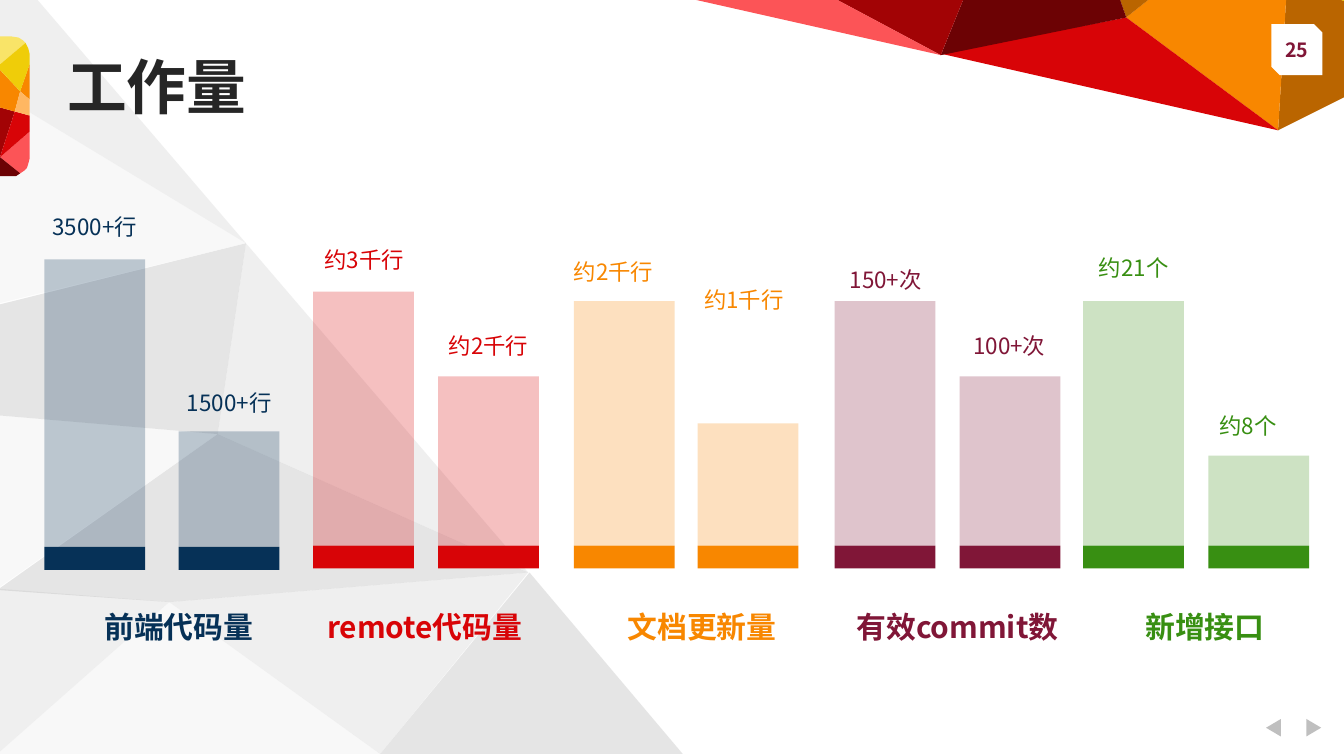
from lxml import etree
from pptx import Presentation
from pptx.dml.color import RGBColor
from pptx.enum import shapes, text
from pptx.oxml import ns
from pptx.util import Cm, Pt

FONT = "Noto Sans CJK SC"
NAVY, RED = RGBColor(0x06, 0x31, 0x57), RGBColor(0xD8, 0x04, 0x07)
ORANGE, PLUM = RGBColor(0xF8, 0x87, 0x00), RGBColor(0x80, 0x16, 0x37)
GREEN, INK = RGBColor(0x38, 0x8F, 0x12), RGBColor(0x26, 0x26, 0x26)
WHITE, SILVER = RGBColor(0xFF, 0xFF, 0xFF), RGBColor(0xBF, 0xBF, 0xBF)
PALE, MIST = RGBColor(0xF2, 0xF2, 0xF2), RGBColor(0xD9, 0xD9, 0xD9)
BROWN, MAROON = RGBColor(0xBA, 0x65, 0x00), RGBColor(0x6C, 0x02, 0x04)
CRIMSON, CORAL = RGBColor(0xA2, 0x03, 0x05), RGBColor(0xFC, 0x54, 0x57)
YELLOW, LEMON = RGBColor(0xEF, 0xCD, 0x09), RGBColor(0xF9, 0xE4, 0x68)
PEACH = RGBColor(0xFF, 0xB7, 0x62)

# All places and sizes below are in inches
TITLE = "工作量"
PAGE_NUMBER = "25"
BAR_WIDTH, BASE_HEIGHT = 0.75, 0.17
CAPTION_TOP, CAPTION_HEIGHT, VALUE_HEIGHT = 4.48, 0.37, 0.3

# colour, top of the solid base, (caption, left, width),
# bars: (left, top, value, value left, value top, value width)
GROUPS = [
    (NAVY, 4.07, ("前端代码量", 0.57, 1.52),
     [(0.33, 1.93, "3500+行", 0.15, 1.54, 1.11),
      (1.33, 3.21, "1500+行", 1.15, 2.85, 1.11)]),
    (RED, 4.06, ("remote代码量", 2.3, 1.72),
     [(2.33, 2.17, "约3千行", 2.03, 1.78, 1.36),
      (3.26, 2.8, "约2千行", 3.17, 2.42, 0.93)]),
    (ORANGE, 4.06, ("文档更新量", 4.51, 1.43),
     [(4.27, 2.24, "约2千行", 4.01, 1.87, 1.11),
      (5.19, 3.15, "约1千行", 4.98, 2.08, 1.11)]),
    (PLUM, 4.06, ("有效commit数", 6.23, 1.79),
     [(6.21, 2.24, "150+次", 6.09, 1.93, 1),
      (7.14, 2.8, "100+次", 7.01, 2.42, 1)]),
    (GREEN, 4.06, ("新增接口", 8.41, 1.11),
     [(8.06, 2.24, "约21个", 7.88, 1.84, 1.11),
      (8.99, 3.39, "约8个", 8.73, 3.02, 1.11)]),
]

# Facets: colour, opacity in percent, corners
BACKDROP = [
    (PALE, 50, [(1.26, 4.48), (2.83, 5.61), (-0.02, 5.61)]),
    (MIST, 40, [(1.26, 4.48), (-0.02, 5.61), (-0.02, 4.38)]),
    (MIST, 40, [(2.83, 5.61), (1.26, 4.48), (3.93, 4.26)]),
    (SILVER, 40, [(3.93, 4.26), (1.26, 4.48), (-0.02, 4.39), (1.62, 3.23)]),
    (MIST, 40, [(3.93, 4.26), (1.62, 3.23), (1.83, 1.81)]),
    (PALE, 50, [(1.62, 3.23), (-0.02, 4.38), (-0.02, 3.09)]),
    (SILVER, 40, [(1.62, 3.23), (-0.02, 3.09), (-0.02, 2.27), (1.83, 1.81)]),
    (PALE, 50, [(1.83, 1.81), (-0.02, 2.26), (-0.02, 0.69)]),
    (MIST, 40, [(1.83, 1.81), (-0.02, 0.69), (-0.02, -0.35)]),
    (SILVER, 40, [(2.83, 5.61), (3.94, 4.26), (5.08, 5.61)]),
]
CORNER = [
    (YELLOW, 100, [(9.58, -0.17), (10.77, 0.34), (10.62, -0.85)]),
    (BROWN, 100, [(10.77, 0.34), (9.58, -0.17), (9.51, 0.97)]),
    (ORANGE, 100, [(9.51, 0.97), (9.58, -0.17), (9.42, -0.7), (8.38, 0.13)]),
    (RED, 100, [(9.51, 0.97), (8.38, 0.13), (7, 0.4)]),
    (BROWN, 100, [(8.38, 0.13), (9.42, -0.7), (8.15, -0.53)]),
    (MAROON, 100, [(8.38, 0.13), (8.15, -0.53), (7.34, -0.43), (7, 0.41)]),
    (CRIMSON, 100, [(7, 0.41), (7.34, -0.43), (5.8, -0.23)]),
    (CORAL, 100, [(7, 0.41), (5.8, -0.23), (4.78, -0.09)]),
]
SIDE_TAB = [
    (CORAL, 100, [(0.22, 0.98), (0, 1.17), (0.15, 1.29), (0.18, 1.27),
                  (0.2, 1.25), (0.21, 1.22), (0.22, 1.18)]),
    (CRIMSON, 100, [(0.11, 0.83), (0, 0.8), (0, 1.17)]),
    (RED, 100, [(0.11, 0.83), (0, 1.17), (0.22, 0.98), (0.22, 0.86)]),
    (MAROON, 100, [(0.15, 1.29), (0, 1.17), (0, 1.31), (0.08, 1.31), (0.12, 1.31)]),
    (LEMON, 100, [(0, 0.48), (0.19, 0.32), (0.17, 0.3), (0.14, 0.28),
                  (0.08, 0.27), (0, 0.27)]),
    (ORANGE, 100, [(0.22, 0.48), (0.15, 0.68), (0.22, 0.74)]),
    (ORANGE, 100, [(0.11, 0.83), (0.15, 0.68), (0, 0.52), (0, 0.8)]),
    (YELLOW, 100, [(0, 0.52), (0.15, 0.68), (0.22, 0.48), (0.22, 0.4),
                   (0.21, 0.36), (0.19, 0.32), (0, 0.48)]),
    (PEACH, 100, [(0.22, 0.74), (0.15, 0.68), (0.11, 0.83), (0.22, 0.86)]),
]


def inches(*values):
    return [Cm(value * 2.54) for value in values]


def paint(shape, colour, opacity=100):
    shape.shadow.inherit = False
    shape.fill.solid()
    shape.fill.fore_color.rgb = colour
    shape.line.fill.background()
    if opacity < 100:
        colour_tag = shape.element.spPr.find(".//" + ns.qn("a:srgbClr"))
        etree.SubElement(colour_tag, ns.qn("a:alpha"), val=str(opacity * 1000))


def add_facets(page, facets):
    for colour, opacity, corners in facets:
        points = [inches(*corner) for corner in corners]
        builder = page.shapes.build_freeform(*points[0], scale=1.0)
        builder.add_line_segments(points[1:], close=True)
        paint(builder.convert_to_shape(), colour, opacity)


def add_preset(page, kind, place, colour, opacity=100):
    shape = page.shapes.add_shape(kind, *inches(*place))
    paint(shape, colour, opacity)
    return shape


def write(box, words, size, colour, bold=False, align=text.PP_ALIGN.CENTER):
    box.text_frame.text = words
    para = box.text_frame.paragraphs[0]
    para.alignment = align
    span = para.runs[0]
    span.font.color.rgb = colour
    for name, value in {"name": FONT, "size": Pt(size), "bold": bold}.items():
        setattr(span.font, name, value)
    east_asian = etree.SubElement(span.font._element, ns.qn("a:ea"))
    east_asian.set("typeface", FONT)


def add_label(page, place, words, size, colour, bold=False, wrap=True):
    box = page.shapes.add_textbox(*inches(*place))
    box.text_frame.word_wrap = wrap
    write(box, words, size, colour, bold)


def add_title(page):
    title = page.shapes.title
    title.element.getparent().append(title.element)  # in front of the backdrop
    places = zip(("left", "top", "width", "height"), inches(0.5, 0.45, 5.25, 0.44))
    for name, value in places:
        setattr(title, name, value)
    frame_format = {"margin_left": 0, "margin_top": 0, "margin_right": 0,
                    "margin_bottom": 0, "word_wrap": True,
                    "auto_size": text.MSO_AUTO_SIZE.NONE,
                    "vertical_anchor": text.MSO_ANCHOR.MIDDLE}
    for name, value in frame_format.items():
        setattr(title.text_frame, name, value)
    write(title, TITLE, 32, INK, bold=True, align=text.PP_ALIGN.LEFT)
    title.text_frame.paragraphs[0].line_spacing = 0.9


def add_group(page, colour, base_top, caption, bars):
    for left, top, value, value_left, value_top, value_width in bars:
        rectangle = shapes.MSO_SHAPE.RECTANGLE
        add_preset(page, rectangle, (left, base_top, BAR_WIDTH, BASE_HEIGHT), colour)
        add_preset(page, rectangle, (left, top, BAR_WIDTH, base_top - top), colour, 25)
        add_label(page, (value_left, value_top, value_width, VALUE_HEIGHT),
                  value, 12, colour)
    words, left, width = caption
    add_label(page, (left, CAPTION_TOP, width, CAPTION_HEIGHT),
              words, 16, colour, bold=True)


def main():
    deck = Presentation()
    deck.slide_width = Cm(25.4)
    deck.slide_height = deck.slide_width * 9 // 16
    page = deck.slides.add_slide(deck.slide_layouts[5])

    add_facets(page, BACKDROP)
    for left, rotation in ((9.71, 90), (9.41, 270)):
        arrow = add_preset(page, shapes.MSO_SHAPE.ISOSCELES_TRIANGLE,
                           (left, 5.36, 0.13, 0.11), SILVER)
        arrow.rotation = rotation
    add_facets(page, CORNER)
    add_preset(page, shapes.MSO_SHAPE.SNIP_2_DIAG_RECTANGLE,
               (9.46, 0.18, 0.38, 0.38), WHITE)
    add_label(page, (9.46, 0.23, 0.38, 0.28), PAGE_NUMBER, 10.5, PLUM,
              bold=True, wrap=False)
    add_title(page)
    add_facets(page, SIDE_TAB)
    for group in GROUPS:
        add_group(page, *group)
    deck.save("out.pptx")


if __name__ == "__main__":
    main()
